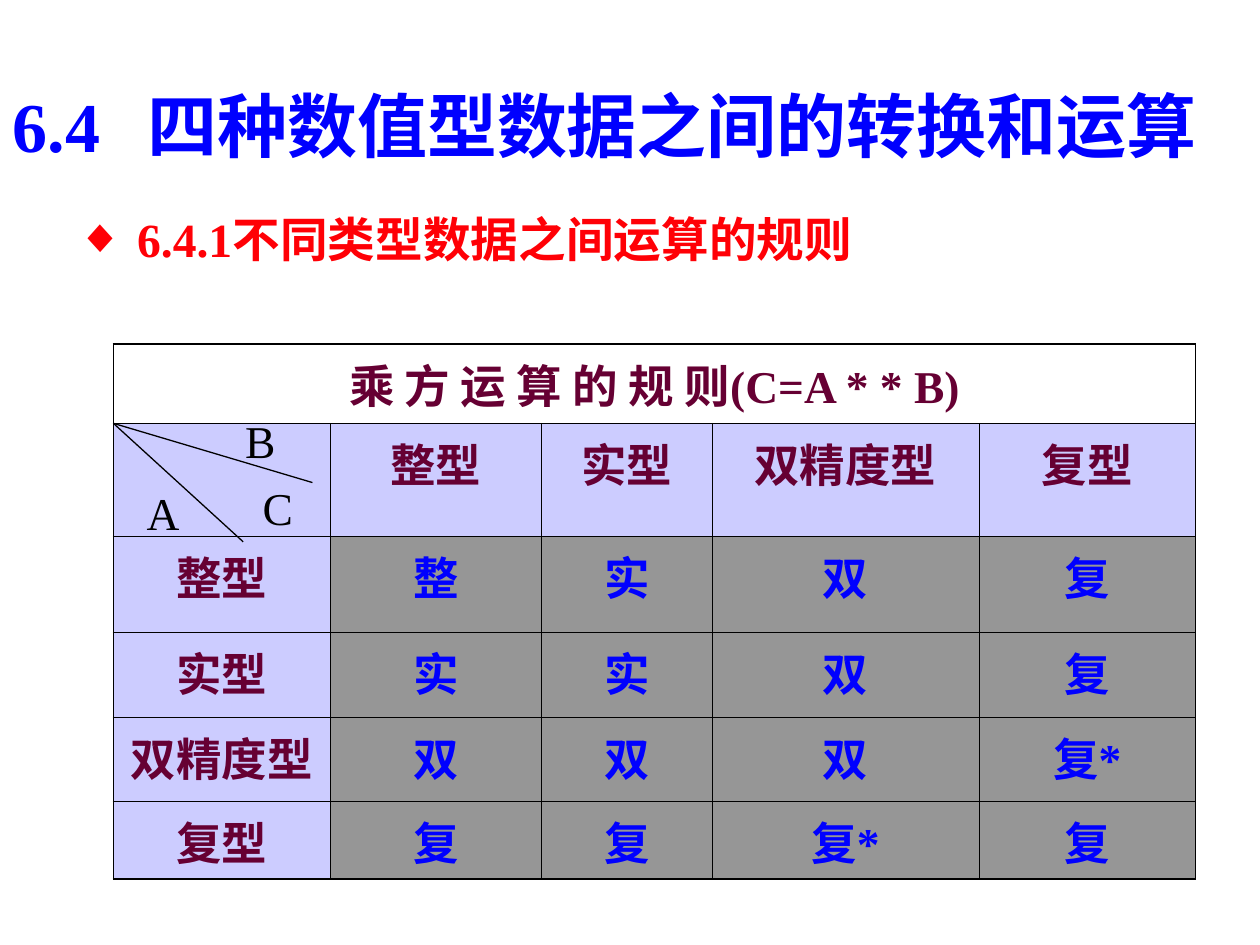
from pptx import Presentation
from pptx.dml.color import RGBColor
from pptx.enum.shapes import MSO_CONNECTOR as Connector
from pptx.enum.text import MSO_ANCHOR as Anchor, PP_ALIGN as Align
from pptx.oxml.ns import qn
from pptx.util import Inches, Pt
from lxml.etree import SubElement

BLUE = RGBColor(0x00, 0x00, 0xFF)
RED = RGBColor(0xFF, 0x00, 0x06)
PLUM = RGBColor(0x66, 0x00, 0x33)
LILAC = RGBColor(0xCC, 0xCC, 0xFF)
GREY = RGBColor(0x96, 0x96, 0x96)
BLACK = RGBColor(0x00, 0x00, 0x00)

COLUMNS, ROWS = 100, 75
THICK, THIN = 1.08, 0.45

TITLE = {"size": Pt(40), "bold": True, "color": BLUE}
HEADING = {"size": Pt(27.2), "bold": True, "color": RED}
HEADER = {"size": Pt(26), "bold": True, "color": PLUM}
RESULT = {**HEADER, "color": BLUE}
LABEL = {"size": Pt(26), "bold": False, "color": BLACK}

TYPES = ["整型", "实型", "双精度型", "复型"]
RESULTS = [
    ["整", "实", "双", "复"],
    ["实", "实", "双", "复"],
    ["双", "双", "双", "复*"],
    ["复", "复", "复*", "复"],
]
TABLE_LEFT, TABLE_TOP = 9, 27.3
COLUMN_WIDTHS = [17.2, 16.8, 13.5, 21.2, 17.2]
ROW_HEIGHTS = [6.3, 9, 7.6, 6.7, 6.7, 6.2]


class RulesSlide:
    font_name = "Times New Roman"

    def __init__(self, deck):
        self.deck = deck
        self.page = deck.slides.add_slide(deck.slide_layouts[5])

    def across(self, columns):
        return round(self.deck.slide_width * columns / COLUMNS)

    def down(self, rows):
        return round(self.deck.slide_height * rows / ROWS)

    def area(self, left, top, width, height):
        return self.across(left), self.down(top), self.across(width), self.down(height)

    def add_span(self, para, text, style, align=Align.LEFT):
        para.alignment = align
        span = para.add_run()
        span.text = text
        span.font.name = self.font_name
        for name, value in style.items():
            if name == "color":
                span.font.color.rgb = value
            else:
                setattr(span.font, name, value)

    def title(self, text, area, gap):
        box = self.page.shapes.title
        for name, value in zip(("left", "top", "width", "height"), self.area(*area)):
            setattr(box, name, value)
        frame = box.text_frame
        frame.vertical_anchor = Anchor.MIDDLE
        para = frame.paragraphs[0]
        stops = SubElement(para._p.get_or_add_pPr(), qn("a:tabLst"))
        SubElement(stops, qn("a:tab"), pos=str(self.across(gap)), algn="l")
        self.add_span(para, text, TITLE)

    def text(self, text, area, style, align=Align.LEFT, anchor=Anchor.TOP):
        frame = self.page.shapes.add_textbox(*self.area(*area)).text_frame
        frame.word_wrap = True
        frame.vertical_anchor = anchor
        self.add_span(frame.paragraphs[0], text, style, align)
        return frame.paragraphs[0]

    def bullet(self, text, area, indent):
        para = self.text(text, area, HEADING)
        props = para._p.get_or_add_pPr()
        props.set("marL", str(self.across(indent)))
        props.set("indent", str(-self.across(indent)))
        color = SubElement(props, qn("a:buClr"))
        SubElement(color, qn("a:srgbClr"), val=str(RED))
        SubElement(props, qn("a:buFont"), typeface=self.font_name)
        SubElement(props, qn("a:buChar"), char="◆")

    def line(self, start, end):
        (x1, y1), (x2, y2) = start, end
        line = self.page.shapes.add_connector(
            Connector.STRAIGHT, self.across(x1), self.down(y1), self.across(x2), self.down(y2))
        line.line.color.rgb = BLACK
        line.line.width = Pt(0.75)
        SubElement(line._element.spPr, qn("a:effectLst"))

    def border(self, cell, widths):
        props = cell._tc.get_or_add_tcPr()
        for side, width in widths.items():
            edge = SubElement(props, qn(f"a:ln{side}"), w=str(Pt(width)))
            fill = SubElement(edge, qn("a:solidFill"))
            SubElement(fill, qn("a:srgbClr"), val=str(BLACK))

    def table(self, caption):
        last_row, last_column = len(ROW_HEIGHTS) - 1, len(COLUMN_WIDTHS) - 1
        area = self.area(TABLE_LEFT, TABLE_TOP, sum(COLUMN_WIDTHS), sum(ROW_HEIGHTS))
        table = self.page.shapes.add_table(last_row + 1, last_column + 1, *area).table
        table.first_row = table.horz_banding = False
        for column, width in zip(table.columns, COLUMN_WIDTHS):
            column.width = self.across(width)
        for row, height in zip(table.rows, ROW_HEIGHTS):
            row.height = self.down(height)
        table.cell(0, 0).merge(table.cell(0, last_column))

        content = [[caption] + [""] * last_column, [""] + TYPES]
        content += [[kind] + results for kind, results in zip(TYPES, RESULTS)]
        for r, texts in enumerate(content):
            for c, text in enumerate(texts):
                cell = table.cell(r, c)
                outer = {"L": c == 0 or r == 0, "R": c == last_column or r == 0,
                         "T": r == 0, "B": r == last_row}
                self.border(cell, {side: THICK if edge else THIN for side, edge in outer.items()})
                is_result = r > 1 and c > 0
                if r == 0:
                    cell.fill.background()
                else:
                    cell.fill.solid()
                    cell.fill.fore_color.rgb = GREY if is_result else LILAC
                if text:
                    style = RESULT if is_result else HEADER
                    self.add_span(cell.text_frame.paragraphs[0], text, style, Align.CENTER)


def main():
    deck = Presentation()
    deck.slide_width, deck.slide_height = Inches(10), Inches(7.5)
    slide = RulesSlide(deck)
    slide.title("6.4\t四种数值型数据之间的转换和运算", (0, 3.6, 100, 12.5), gap=10.7)
    slide.bullet("6.4.1不同类型数据之间运算的规则", (5.1, 16.2, 82.7, 5.5), indent=4.8)
    slide.table("乘 方 运 算 的 规 则(C=A * * B)")

    for text, left, top in [("A", 10.2, 38.7), ("B", 17.9, 33), ("C", 19.3, 38.3)]:
        slide.text(text, (left, top, 5.5, 3.9), LABEL, Align.CENTER, Anchor.MIDDLE)
    corner = (TABLE_LEFT, TABLE_TOP + ROW_HEIGHTS[0])
    for end in [(19.3, 43), (24.8, 38.3)]:
        slide.line(corner, end)
    deck.save("out.pptx")


if __name__ == "__main__":
    main()
